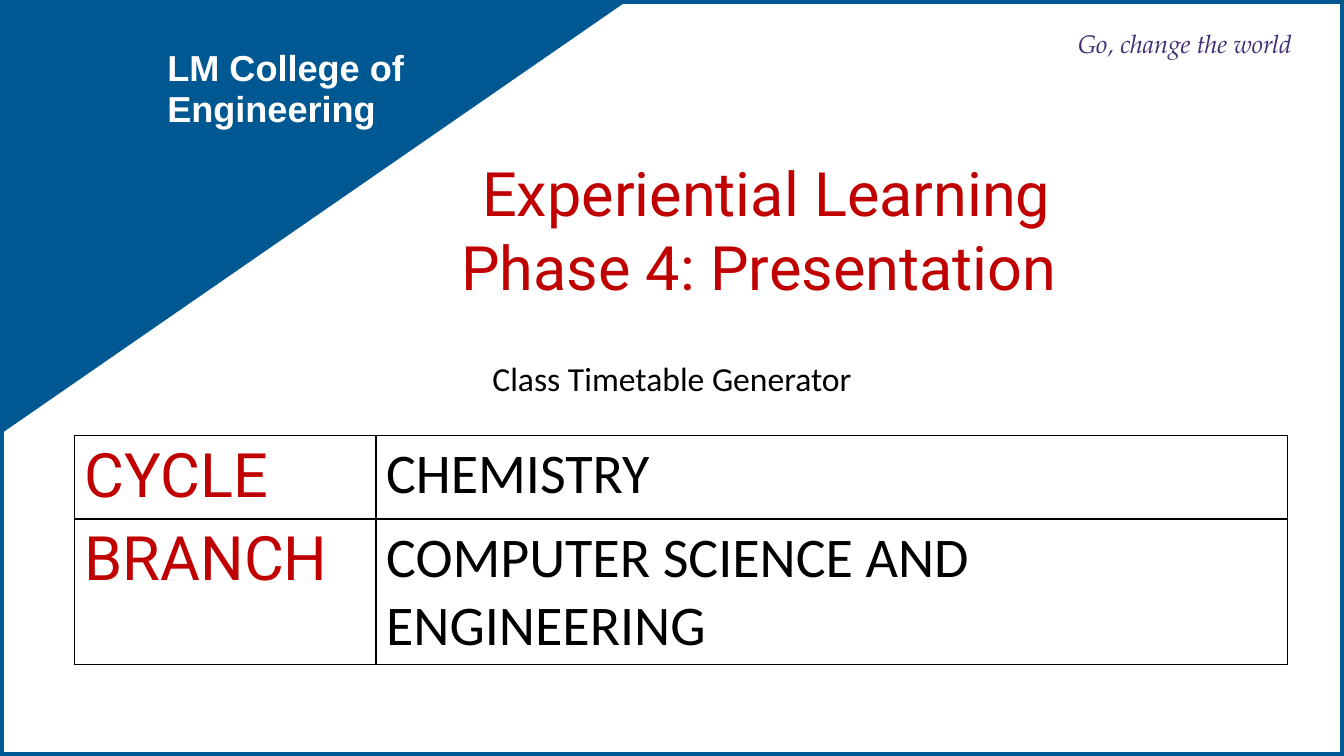
from dataclasses import dataclass

from lxml import etree
from pptx import Presentation
from pptx import util as u
from pptx.dml import color
from pptx.enum import text
from pptx.enum import shapes
from pptx.oxml import ns


@dataclass(frozen=True)
class Font:
    face: str
    size: float
    tint: str
    bold: bool = False
    slant: bool = False


@dataclass(frozen=True)
class Theme:
    blue: str = "005893"
    white: str = "FFFFFF"
    black: str = "000000"
    frame: float = 6
    rule: float = 1
    title: Font = Font("Roboto", 43.7, "C00000")
    topic: Font = Font("Calibri", 24, "000000")
    value: Font = Font("Calibri", 40, "000000")
    school: Font = Font("Arial", 25.8, "FFFFFF", bold=True)
    motto: Font = Font("TeX Gyre Pagella", 18.2, "422C75", slant=True)


THEME = Theme()
LEFT, CENTER = text.PP_ALIGN.LEFT, text.PP_ALIGN.CENTER


def rgb(code):
    return color.RGBColor.from_string(code)


def write(frame, lines, font, align=LEFT, before=0, pitch=None):
    frame.word_wrap = True
    for i, line in enumerate(lines):
        para = frame.add_paragraph() if i else frame.paragraphs[0]
        para.alignment = align
        para.space_before = u.Pt(before)
        if pitch:
            para.line_spacing = u.Pt(pitch)
        run = para.add_run()
        run.text = line
        run.font.name = font.face
        run.font.size = u.Pt(font.size)
        run.font.bold = font.bold
        run.font.italic = font.slant
        run.font.color.rgb = rgb(font.tint)


def add_label(slide, box, lines, font, **style):
    frame = slide.shapes.add_textbox(*map(u.Inches, box)).text_frame
    frame.margin_left = frame.margin_right = frame.margin_bottom = 0
    frame.margin_top = u.Inches(0.01)
    write(frame, lines, font, **style)


def add_panel(slide, box, topic):
    panel = slide.shapes.add_shape(shapes.MSO_SHAPE.RECTANGLE, *map(u.Inches, box))
    panel.shadow.inherit = False
    panel.fill.solid()
    panel.fill.fore_color.rgb = rgb(THEME.white)
    panel.line.color.rgb = rgb(THEME.blue)
    panel.line.width = u.Pt(THEME.frame)
    panel.text_frame.vertical_anchor = text.MSO_ANCHOR.MIDDLE
    write(panel.text_frame, [topic], THEME.topic, align=CENTER)


def add_corner(slide, box, school):
    x, y, w, h = box
    pen = slide.shapes.build_freeform(u.Inches(x + w), u.Inches(y))
    pen.add_line_segments([(u.Inches(x), u.Inches(y)), (u.Inches(x), u.Inches(y + h))])
    wedge = pen.convert_to_shape()
    wedge.shadow.inherit = False
    wedge.fill.solid()
    wedge.fill.fore_color.rgb = rgb(THEME.blue)
    wedge.line.fill.background()
    add_label(slide, (x + 1.66, y + 0.47, 2.53, 0.81), school, THEME.school,
              before=0.6, pitch=28.5)


def add_edges(cell):
    props = cell._tc.get_or_add_tcPr()
    for i, side in enumerate(("a:lnL", "a:lnR", "a:lnT", "a:lnB")):
        edge = etree.Element(ns.qn(side), w=str(u.Pt(THEME.rule)))
        fill = etree.SubElement(edge, ns.qn("a:solidFill"))
        etree.SubElement(fill, ns.qn("a:srgbClr"), val=THEME.black)
        props.insert(i, edge)


def add_facts(slide, box, facts, cols, rows):
    grid = slide.shapes.add_table(len(rows), len(cols), *map(u.Inches, box)).table
    grid.first_row = grid.horz_banding = False
    for col, width in zip(grid.columns, cols):
        col.width = u.Inches(width)
    for row, height, fact in zip(grid.rows, rows, facts):
        row.height = u.Inches(height)
        for cell, word, font in zip(row.cells, fact, (THEME.title, THEME.value)):
            cell.fill.background()
            write(cell.text_frame, [word], font)
            add_edges(cell)


def add_cover(deck, box):
    slide = deck.slides.add_slide(deck.slide_layouts[6])
    x, y, w, h = box
    add_panel(slide, box, "Class Timetable Generator")
    add_label(slide, (x + 2.22, y + 1.53, 10.76, 1.89),
              ["Experiential Learning", "Phase 4: Presentation "],
              THEME.title, align=CENTER, before=0.5)
    add_corner(slide, (x, y + 0.01, 6.22, 4.3), ["LM College of", "Engineering"])
    add_label(slide, (x + w - 2.64, y + 0.27, 2.26, 0.31),
              ["Go, change the world"], THEME.motto, before=0.6)
    add_facts(slide, (x + 0.74, y + 4.32, 12.03, 2.26),
              [("CYCLE", "CHEMISTRY"),
               ("BRANCH", "COMPUTER SCIENCE AND ENGINEERING")],
              cols=(2.99, 9.04), rows=(0.82, 1.44))


def main():
    deck = Presentation()
    deck.slide_width, deck.slide_height = u.Inches(13.33), u.Inches(7.5)
    add_cover(deck, (0, 0, 13.33, 7.5))
    deck.save("out.pptx")


if __name__ == "__main__":
    main()
